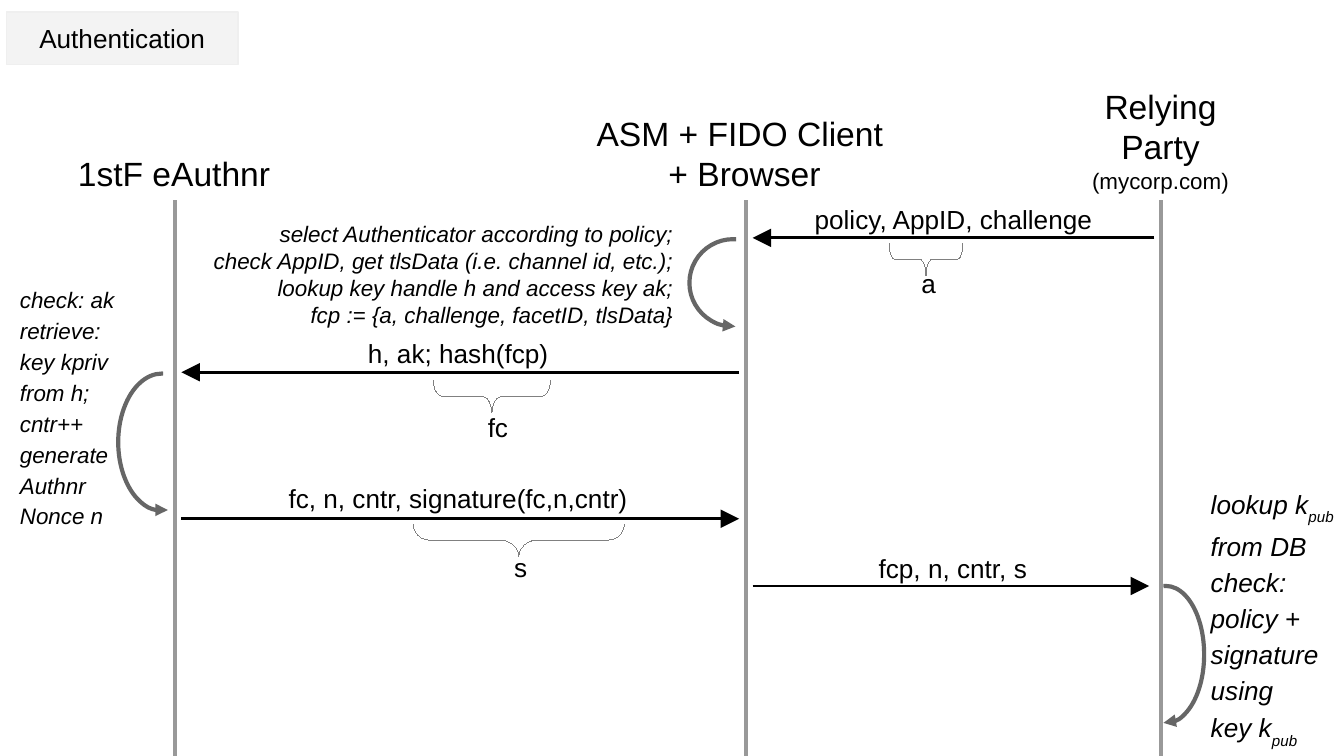
import pptx
import pptx.util
import pptx.dml.color
import pptx.enum.shapes
import pptx.enum.text
import pptx.oxml.ns
from dataclasses import dataclass
from lxml import etree

Inches = pptx.util.Inches
Pt = pptx.util.Pt
RGB = pptx.dml.color.RGBColor.from_string
SHAPE = pptx.enum.shapes.MSO_SHAPE
ALIGN = pptx.enum.text.PP_ALIGN
ANCHOR = pptx.enum.text.MSO_ANCHOR
qn = pptx.oxml.ns.qn


@dataclass
class Theme:
    font: str = "Arial"
    text: str = "000000"
    lifeline: str = "999999"
    loop: str = "666666"
    brace: str = "808080"
    title_fill: str = "F3F3F3"
    title_line: str = "EFEFEF"
    actor_size: int = 18
    message_size: int = 14
    note_size: int = 12


theme = Theme()


def write_text(shape, text, size=theme.message_size, align=ALIGN.CENTER,
               anchor=ANCHOR.TOP, italic=False, spacing=1.0):
    """Newline starts a paragraph, \\v breaks a line, ~x~ is a subscript."""
    frame = shape.text_frame
    frame.word_wrap = True
    frame.auto_size = pptx.enum.text.MSO_AUTO_SIZE.NONE
    frame.vertical_anchor = anchor
    frame.margin_left = frame.margin_right = Inches(0.1)
    frame.margin_top = frame.margin_bottom = Inches(0.1)
    for number, line in enumerate(text.split("\n")):
        paragraph = frame.add_paragraph() if number else frame.paragraphs[0]
        paragraph.alignment = align
        paragraph.line_spacing = spacing
        paragraph.space_before = Pt(0)
        for row, part in enumerate(line.split("\v")):
            if row:
                paragraph.add_line_break()
            for index, piece in enumerate(part.split("~")):
                if not piece:
                    continue
                run = paragraph.add_run()
                run.text = piece
                run.font.name = theme.font
                run.font.size = Pt(size)
                run.font.italic = italic
                run.font.color.rgb = RGB(theme.text)
                if index % 2:
                    run.font._element.set("baseline", "-33000")
    return frame


def style_line(shape, color, width, arrow=None, arrow_size="med"):
    """Format an outline; arrow is "headEnd" (start), "tailEnd" (end) or None."""
    shape.line.color.rgb = RGB(color)
    outline = shape.line._get_or_add_ln()
    outline.set("w", str(int(Pt(width))))
    if arrow:
        etree.SubElement(outline, qn("a:" + arrow), type="triangle",
                         w=arrow_size, len=arrow_size)
    properties = shape._element.spPr
    if properties.find(qn("a:effectLst")) is None:
        etree.SubElement(properties, qn("a:effectLst"))


# Widescreen 16:9 slide
presentation = pptx.Presentation()
presentation.slide_width = Inches(10)
presentation.slide_height = Inches(10) * 9 // 16
slide = presentation.slides.add_slide(presentation.slide_layouts[5])
shapes = slide.shapes

# Title tag
title = shapes.title
title.left, title.top, title.width, title.height = map(Inches, (0.05, 0.09, 1.72, 0.39))
title.fill.solid()
title.fill.fore_color.rgb = RGB(theme.title_fill)
style_line(title, theme.title_line, 0.75)
write_text(title, "Authentication", anchor=ANCHOR.MIDDLE)

# Lifelines
authenticator, client, party = 1.3, 5.55, 8.64
straight = pptx.enum.shapes.MSO_CONNECTOR.STRAIGHT
for x in (authenticator, client, party):
    lifeline = shapes.add_connector(straight, Inches(x), presentation.slide_height,
                                    Inches(x), Inches(1.49))
    style_line(lifeline, theme.lifeline, 2.25)

# Actors above the lifelines
actors = [
    ("1stF eAuthnr", (0.11, 1.04, 2.37, 0.5)),
    ("ASM + FIDO Client \v+ Browser", (4.32, 0.52, 2.44, 1.02)),
    ("Relying Party\v(mycorp.com)", (7.86, 0.89, 1.55, 0.65)),
]
for text, box in actors:
    frame = write_text(shapes.add_textbox(*map(Inches, box)), text,
                       size=theme.actor_size, anchor=ANCHOR.BOTTOM)
frame.paragraphs[0].runs[-1].font.size = Pt(theme.note_size)

# Messages: start, end, height
gap = 0.05
messages = [
    (party - gap, client + gap, 1.77),
    (client - gap, authenticator + gap, 2.77),
    (authenticator + gap, client - gap, 3.86),
    (client + gap, party - 0.09, 4.36),
]
for start, end, y in messages:
    message = shapes.add_connector(straight, Inches(start), Inches(y), Inches(end), Inches(y))
    style_line(message, theme.text, 1.5, arrow="tailEnd", arrow_size="lg")

# Message and brace labels: text, left, top, width
labels = [
    ("policy, AppID, challenge", 5.91, 1.41, 2.37),
    ("h, ak; hash(fcp)", 1.33, 2.41, 4.16),
    ("fc, n, cntr, signature(fc,n,cntr)", 1.33, 3.49, 4.16),
    ("fcp, n, cntr, s", 5.55, 4.01, 3.08),
    ("a", 6.72, 1.89, 0.38),
    ("fc", 2.79, 2.96, 1.83),
    ("s", 2.96, 4.0, 1.83),
]
for text, left, top, width in labels:
    write_text(shapes.add_textbox(*map(Inches, (left, top, width, 0.36))), text)

# Braces under the messages: centre, middle height, length
depth = 0.24
for x, y, length in [(6.89, 1.93, 0.55), (3.66, 2.95, 0.87), (3.86, 4.02, 1.57)]:
    brace = shapes.add_shape(SHAPE.LEFT_BRACE, Inches(x - depth / 2),
                             Inches(y - length / 2), Inches(depth), Inches(length))
    brace.rotation = 270
    brace.adjustments[0] = length / depth / 12
    brace.fill.background()
    style_line(brace, theme.brace, 0)

# Loops for local work: box, start and end angle, mirrored
loops = [
    ((5.13, 1.78, 0.65, 0.65), 87, 274, False),
    ((0.88, 2.78, 0.65, 1.02), 85, 271, False),
    ((8.39, 4.36, 0.57, 1.02), 88, 272, True),
]
for box, start, end, mirrored in loops:
    loop = shapes.add_shape(SHAPE.ARC, *map(Inches, box))
    loop.adjustments[0] = start * 0.6
    loop.adjustments[1] = end * 0.6
    if mirrored:
        loop._element.spPr.find(qn("a:xfrm")).set("flipH", "1")
    loop.fill.background()
    style_line(loop, theme.loop, 2.25, arrow="headEnd")

# Notes beside the loops
notes = [
    ("select Authenticator according to policy;\n"
     "check AppID, get tlsData (i.e. channel id, etc.);\n"
     "lookup key handle h and access key ak;\n"
     "fcp := {a, challenge, facetID, tlsData}",
     (1.44, 1.54, 3.67, 0.87), theme.note_size, ALIGN.RIGHT, 1.0),
    ("check: ak\nretrieve: \vkey kpriv \vfrom h;\ncntr++\ngenerate Authnr Nonce n",
     (0.05, 2.0, 1.17, 2.08), theme.note_size, ALIGN.LEFT, 1.15),
    ("lookup k~pub~ from DB\ncheck:\vpolicy +\nsignature\nusing\vkey k~pub~",
     (8.91, 3.49, 1.22, 2.02), theme.message_size, ALIGN.LEFT, 1.15),
]
for text, box, size, align, spacing in notes:
    write_text(shapes.add_textbox(*map(Inches, box)), text, size=size,
               align=align, italic=True, spacing=spacing)

presentation.save("out.pptx")
